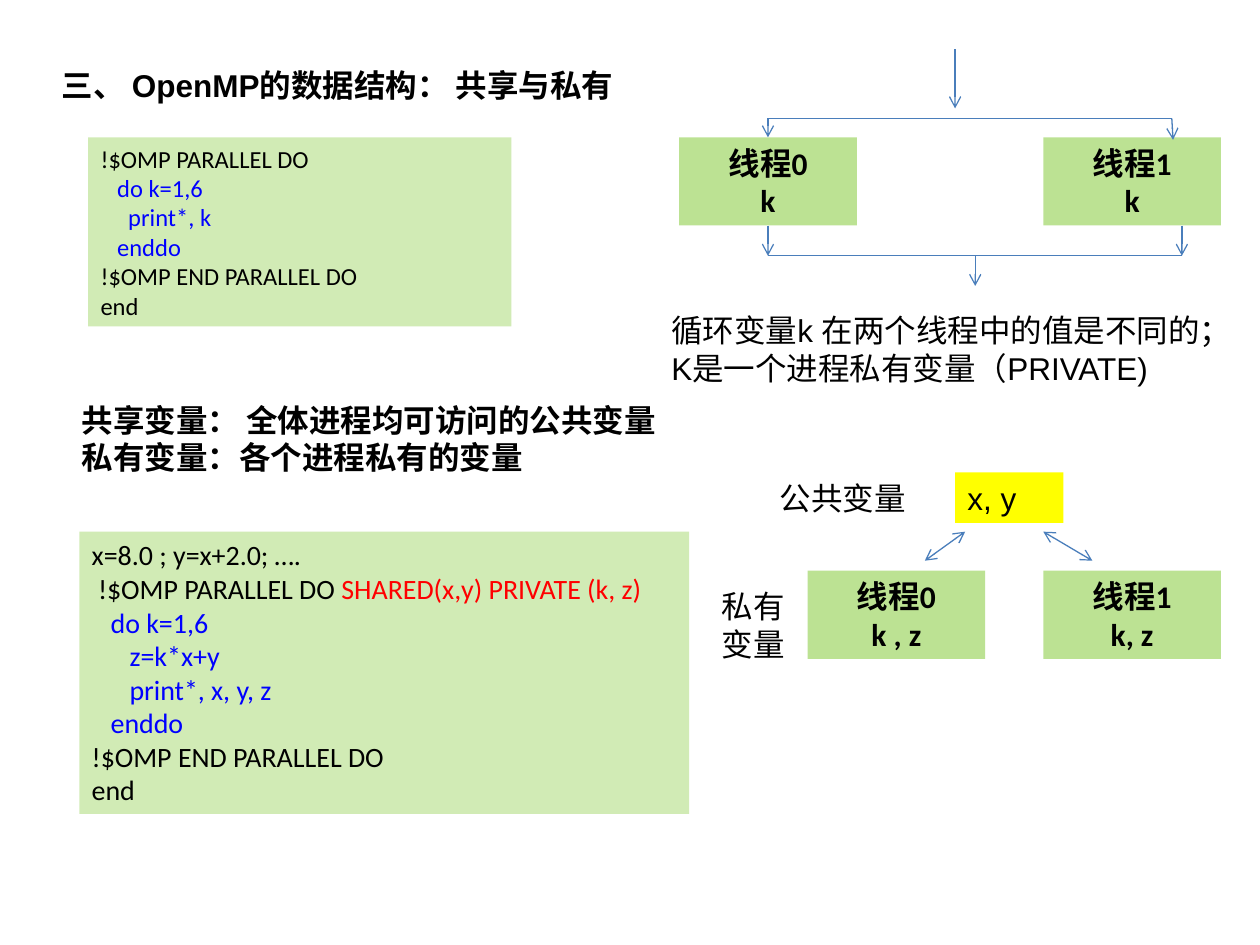
from dataclasses import dataclass
from lxml.etree import SubElement
from pptx import Presentation
from pptx.dml.color import RGBColor
from pptx.enum.shapes import MSO_CONNECTOR, MSO_SHAPE
from pptx.enum.text import MSO_ANCHOR, MSO_AUTO_SIZE, PP_ALIGN
from pptx.oxml.ns import qn
from pptx.util import Inches, Pt


@dataclass(frozen=True)
class Theme:
    ink: str = "000000"
    blue: str = "0000FF"
    red: str = "FF0000"
    green: str = "92D050"
    yellow: str = "FFFF00"
    line: str = "4A7EBB"
    sans: str = "Arial"
    code: str = "Calibri"
    body: int = 18
    small: int = 14
    mid: int = 16
    rule: float = 0.75


T = Theme()
COLS, ROWS = 100, 75

TITLE = ("三、 OpenMP的数据结构： 共享与私有", (3.9, 4.7, 57.8, 4))

NOTES = [
    (["循环变量k 在两个线程中的值是不同的；", "K是一个进程私有变量（PRIVATE)"],
     (52.3, 24.2, 47.7, 7), False),
    (["共享变量： 全体进程均可访问的公共变量", "私有变量：各个进程私有的变量"],
     (5.5, 31.3, 53.1, 7), True),
    (["私有变量"], (56.3, 46.1, 7, 7), False),
    (["公共变量"], (60.9, 37.5, 12.5, 4), False),
]

CODES = [
    ((7, 10.9, 33.6, 15), T.small, [
        [("!$OMP PARALLEL DO", T.ink)],
        [("   do k=1,6", T.blue)],
        [("     print*, k", T.blue)],
        [("   enddo", T.blue)],
        [("!$OMP END PARALLEL DO", T.ink)],
        [("end", T.ink)],
    ]),
    ((6.3, 42.2, 48.4, 22.4), T.mid, [
        [("x=8.0 ; y=x+2.0; ….", T.ink)],
        [(" !$OMP PARALLEL DO ", T.ink), ("SHARED(x,y) PRIVATE (k, z)", T.red)],
        [("   do k=1,6", T.blue)],
        [("      z=k*x+y", T.blue)],
        [("      print*, x, y, z", T.blue)],
        [("   enddo", T.blue)],
        [("!$OMP END PARALLEL DO", T.ink)],
        [("end", T.ink)],
    ]),
]

WIDE, HIGH = 14.1, 7
TOP, LOW = 10.9, 45.3
LEFT, NEAR, RIGHT = 53.9, 64.1, 82.8
THREADS = [
    (["线程0", "k"], LEFT, TOP),
    (["线程1", "k"], RIGHT, TOP),
    (["线程0", "k , z"], NEAR, LOW),
    (["线程1", "k, z"], RIGHT, LOW),
]
SHARED = (["x, y"], (75.8, 37.5, 8.6, 4))

MID = LEFT + WIDE / 2
FORK, JOIN = 9.4, 20.3
FOOT = TOP + HIGH
LINES = [
    ((MID, FORK), (93, FORK), ""),
    ((93, FORK), (93.1, 11.1), "tail"),
    ((MID, JOIN), (93.8, JOIN), ""),
    ((93.8, FOOT), (93.8, JOIN), "tail"),
    ((75.8, 3.9), (75.8, 8.6), "tail"),
    ((77.4, JOIN), (77.4, 22.7), "tail"),
    ((73.4, 44.5), (76.6, 42.2), "head tail"),
    ((86.7, 44.5), (82.8, 42.2), "head tail"),
]

deck = Presentation()
deck.slide_width, deck.slide_height = Inches(10), Inches(7.5)
slide = deck.slides.add_slide(deck.slide_layouts[5])
shapes = slide.shapes


def col(n):
    return round(deck.slide_width * n / COLS)


def row(n):
    return round(deck.slide_height * n / ROWS)


def area(box):
    x, y, w, h = box
    return col(x), row(y), col(w), row(h)


def write(shape, lines, size=T.body, face=T.sans, bold=False,
          align=PP_ALIGN.LEFT):
    frame = shape.text_frame
    frame.word_wrap = True
    frame.auto_size = MSO_AUTO_SIZE.NONE
    frame.vertical_anchor = MSO_ANCHOR.TOP
    for i, line in enumerate(lines):
        para = frame.add_paragraph() if i else frame.paragraphs[0]
        para.alignment = align
        font = para.font
        font.size, font.name, font.bold = Pt(size), face, bold
        runs = [(line, T.ink)] if isinstance(line, str) else line
        if len(runs) == 1:
            font.color.rgb = RGBColor.from_string(runs[0][1])
        for text, tint in runs:
            run = para.add_run()
            run.text = text
            if len(runs) > 1:
                run.font.color.rgb = RGBColor.from_string(tint)


def block(box, tint, alpha=100):
    shape = shapes.add_shape(MSO_SHAPE.RECTANGLE, *area(box))
    shape.shadow.inherit = False
    shape.line.fill.background()
    shape.fill.solid()
    shape.fill.fore_color.rgb = RGBColor.from_string(tint)
    if alpha < 100:
        paint = shape.fill._xPr.find(".//" + qn("a:srgbClr"))
        SubElement(paint, qn("a:alpha"), val=str(alpha * 1000))
    return shape


def link(start, end, ends):
    wire = shapes.add_connector(MSO_CONNECTOR.STRAIGHT, col(start[0]),
                                row(start[1]), col(end[0]), row(end[1]))
    wire.line.color.rgb = RGBColor.from_string(T.line)
    wire.line.width = Pt(T.rule)
    for end in ends.split():
        SubElement(wire.line._get_or_add_ln(), qn(f"a:{end}End"), type="arrow")
    SubElement(wire._element.spPr, qn("a:effectLst"))
    return wire


title = shapes.title
title.left, title.top, title.width, title.height = area(TITLE[1])
write(title, [TITLE[0]], bold=True)

for box, size, lines in CODES:
    write(block(box, T.green, 42), lines, size, T.code)

cards = []
for lines, x, y in THREADS:
    card = block((x, y, WIDE, HIGH), T.green, 61)
    write(card, lines, face=T.code, bold=True, align=PP_ALIGN.CENTER)
    cards.append(card)

write(block(SHARED[1], T.yellow), SHARED[0])

for lines, box, bold in NOTES:
    write(shapes.add_textbox(*area(box)), lines, bold=bold)

for start, end, ends in LINES:
    link(start, end, ends)
link((MID, FORK), (MID, TOP), "tail").end_connect(cards[0], 0)
link((MID, FOOT), (MID, JOIN), "tail").begin_connect(cards[0], 2)

deck.save("out.pptx")
